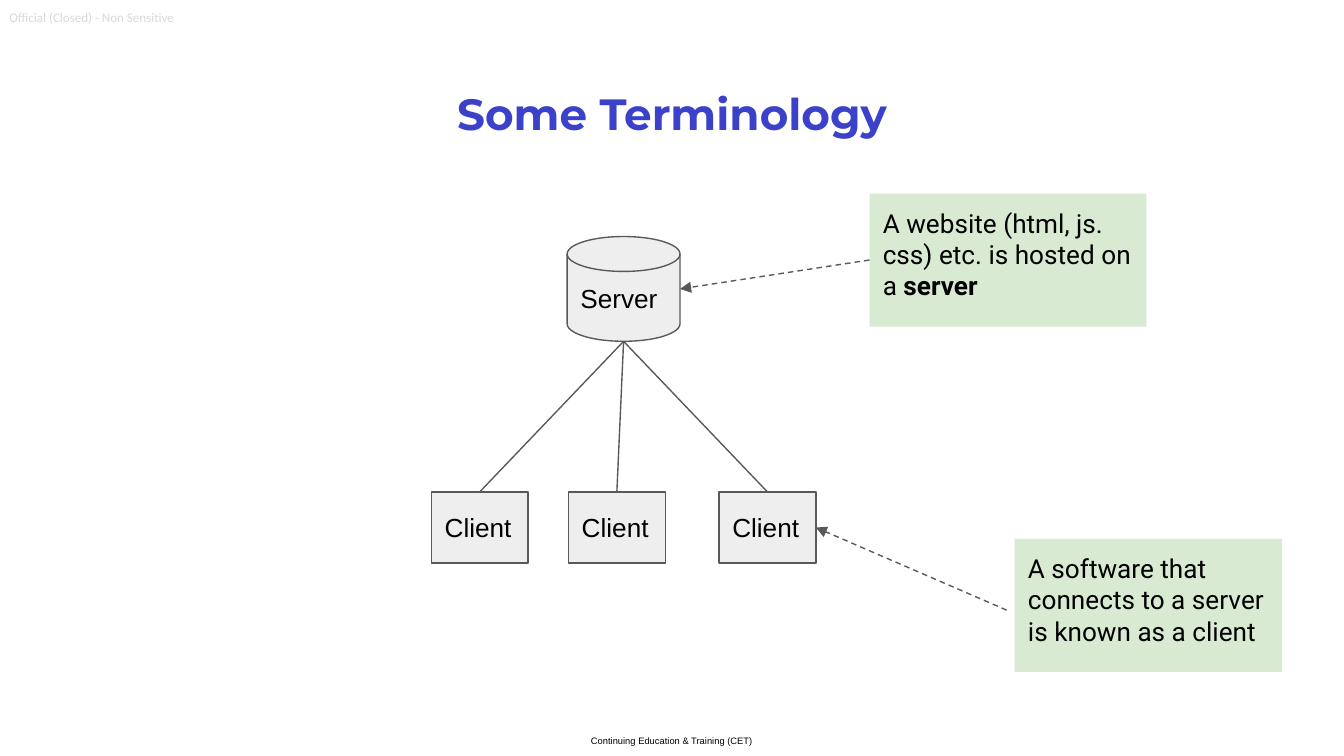
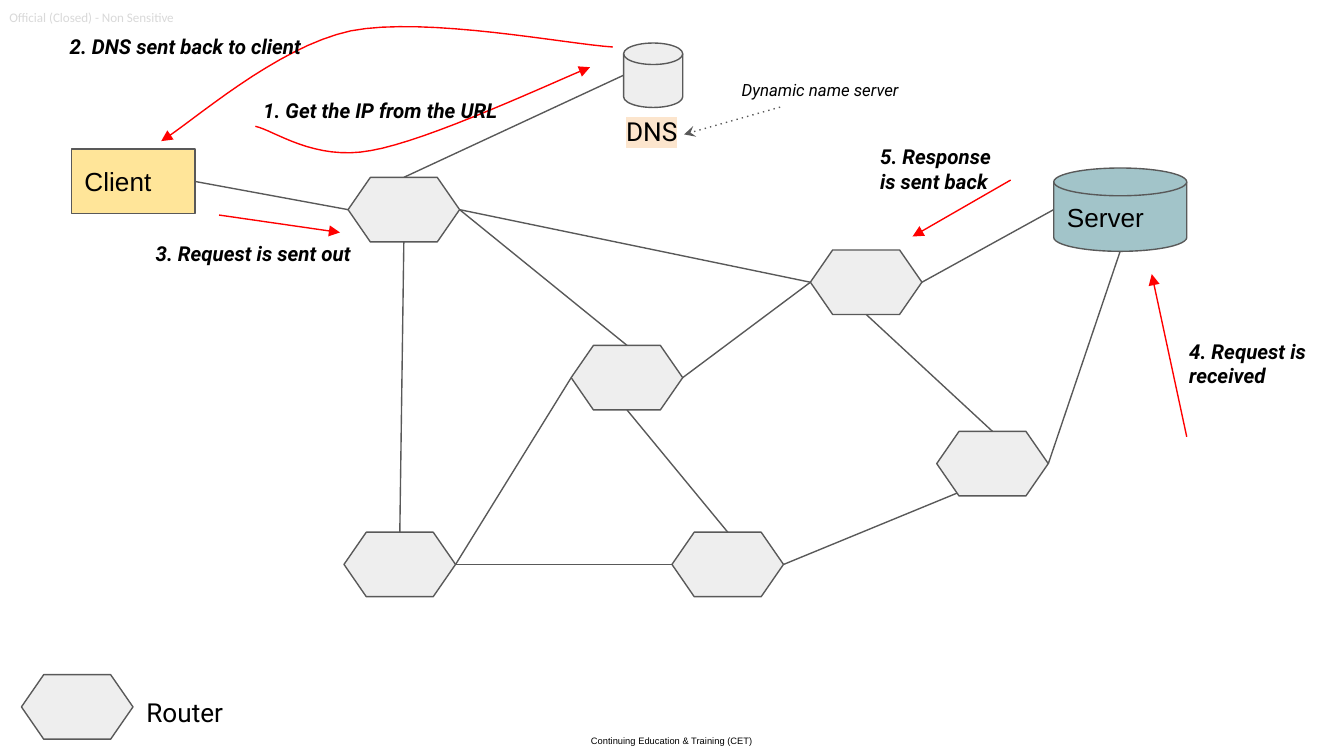
from lxml.etree import SubElement
from pptx import Presentation
from pptx.dml.color import RGBColor
from pptx.enum.shapes import MSO_CONNECTOR, MSO_SHAPE as SHAPE
from pptx.enum.text import MSO_ANCHOR as ANCHOR, MSO_AUTO_SIZE as AUTO, PP_ALIGN as ALIGN
from pptx.oxml.ns import qn
from pptx.util import Inches, Pt

BLACK, LINE, GREY, GREEN, RED = "000000", "595959", "EEEEEE", "D9EAD3", "FF0000"
TITLE_BLUE, MARKING_GREY = "3B41C9", "D9D9D9"
YELLOW, TEAL, PEACH = "FFE599", "A2C4C9", "FCE5CD"
DISK, HEXAGON = SHAPE.FLOWCHART_MAGNETIC_DISK, SHAPE.FLOWCHART_PREPARATION
PROCESS, RECT = SHAPE.FLOWCHART_PROCESS, SHAPE.RECTANGLE

SITES = {"top": (0, 0.5, 0), "left": (1, 0, 0.5), "bottom": (2, 0.5, 1), "right": (3, 1, 0.5)}

TITLE = "Some Terminology"
MARKING = "Official (Closed) - Non Sensitive"
FOOTER = "Continuing Education & Training (CET)"

CLIENT_LEFTS = [3.21, 4.23, 5.35]
CALLOUTS = [
    ((6.47, 1.44, 2.06, 0.99), [("A website (html, js. css) etc. is hosted on a ", False), ("server", True)]),
    ((7.55, 4.01, 1.99, 0.99), [("A software that connects to a server is known as a client", False)]),
]

ROUTER_SIZE = (0.83, 0.48)
ROUTERS = {
    "middle": (4.25, 2.57),
    "south": (5, 3.96),
    "east": (6.97, 3.21),
    "north east": (6.03, 1.86),
    "south west": (2.56, 3.96),
    "entry": (2.59, 1.32),
    "legend": (0.16, 5.02),
}
LINKS = [
    ("client", "right", "entry", "left"),
    ("entry", "bottom", "south west", "top"),
    ("entry", "right", "middle", "top"),
    ("middle", "right", "north east", "left"),
    ("north east", "bottom", "east", "top"),
    ("middle", "bottom", "south", "top"),
    ("east", "right", "server", "bottom"),
    ("south west", "right", "middle", "left"),
    ("south west", "right", "south", "left"),
    ("entry", "right", "north east", "left"),
    ("north east", "right", "server", "left"),
    ("entry", "top", "dns", "left"),
]
STEPS = [
    ("1. Get the IP from the URL", (1.86, 0.63, 2.23, 0.48)),
    ("2. DNS sent back to client", (0.42, 0.15, 2.23, 0.48)),
    ("3. Request is sent out", (1.06, 1.69, 1.72, 0.28)),
    ("4. Request is received", (8.75, 2.42, 1.15, 0.48)),
    ("5. Response is sent back", (6.45, 0.97, 1.15, 0.48)),
]
STEP_ARROWS = [
    ((1.63, 1.6), (2.53, 1.73)),
    ((8.83, 3.25), (8.57, 2.04)),
    ((7.52, 1.34), (6.79, 1.76)),
]
STEP_CURVES = [
    [(1.9, 0.94), (2.04, 0.97), (2.34, 1.2), (2.76, 1.12), (3.18, 1.05), (4.12, 0.61), (4.39, 0.5)],
    [(4.56, 0.35), (4.23, 0.33), (3.17, 0.12), (2.61, 0.23), (2.05, 0.35), (1.43, 0.91), (1.2, 1.05)],
]


def rgb(color):
    return RGBColor.from_string(color)


def inches(values):
    return [Inches(v) for v in values]


def style_font(font, size, name, color=BLACK, bold=False, italic=False):
    font.size, font.name, font.bold, font.italic = Pt(size), name, bold, italic
    font.color.rgb = rgb(color)


def write(s, runs, size, name, color=BLACK, align=ALIGN.LEFT, anchor=ANCHOR.TOP,
          inset=0.1, **emphasis):
    tf = s.text_frame
    tf.word_wrap, tf.auto_size, tf.vertical_anchor = True, AUTO.NONE, anchor
    tf.margin_left = tf.margin_right = tf.margin_top = tf.margin_bottom = Inches(inset)
    p = tf.paragraphs[0]
    p.alignment = align
    style_font(p.font, size, name, color, **emphasis)
    for text, bold in runs:
        r = p.add_run()
        r.text = text
        if bold:
            r.font.bold = True
    return p


def add_label(slide, text, box, size, name="Roboto", **options):
    return write(slide.shapes.add_textbox(*inches(box)), [(text, False)], size, name, **options)


def add_box(slide, kind, box, fill=GREY, text=None, line=LINE):
    s = slide.shapes.add_shape(kind, *inches(box))
    s.shadow.inherit = False
    s.fill.solid()
    s.fill.fore_color.rgb = rgb(fill)
    if line:
        s.line.color.rgb = rgb(line)
        s.line.width = Pt(0.75)
    else:
        s.line.fill.background()
    if text:
        write(s, [(text, False)], 14, "Arial", anchor=ANCHOR.MIDDLE)
    return s


def style_line(s, color, dash=None, head=None, tail=None):
    s.line.color.rgb = rgb(color)
    s.line.width = Pt(0.75)
    ln = s.line._get_or_add_ln()
    if dash:
        SubElement(ln, qn("a:prstDash"), val=dash)
    for tag, kind in (("a:headEnd", head), ("a:tailEnd", tail)):
        if kind:
            SubElement(ln, qn(tag), type=kind)


def site_point(s, side):
    _, fx, fy = SITES[side]
    return round(s.left + fx * s.width), round(s.top + fy * s.height)


def connect(slide, start, end, color=LINE, **options):
    ends = [site_point(*e) if isinstance(e[1], str) else inches(e) for e in (start, end)]
    c = slide.shapes.add_connector(MSO_CONNECTOR.STRAIGHT, *ends[0], *ends[1])
    for e, glue in ((start, c.begin_connect), (end, c.end_connect)):
        if isinstance(e[1], str) and e[0].auto_shape_type != DISK:
            glue(e[0], SITES[e[1]][0])
    style_line(c, color, **options)
    SubElement(c._element.spPr, qn("a:effectLst"))


def bezier(points, steps=16):
    for i in range(0, len(points) - 1, 3):
        a, b, c, d = points[i:i + 4]
        for n in range(1, steps + 1):
            t = n / steps
            u = 1 - t
            yield tuple(u**3 * a[k] + 3 * u * u * t * b[k] + 3 * u * t * t * c[k] + t**3 * d[k]
                        for k in (0, 1))


def add_curve(slide, points):
    builder = slide.shapes.build_freeform(*inches(points[0]))
    builder.add_line_segments([inches(point) for point in bezier(points)], close=False)
    s = builder.convert_to_shape()
    s.shadow.inherit = False
    s.fill.background()
    style_line(s, RED, tail="triangle")


def add_footer(slide):
    add_label(slide, FOOTER, (4.02, 5.42, 1.96, 0.29), 5, "Arial", align=ALIGN.CENTER, inset=0.05)
    add_label(slide, MARKING, (0, 0, 1.62, 0.23), 7, "Calibri", color=MARKING_GREY, inset=0.07)


def build_terminology(prs):
    slide = prs.slides.add_slide(prs.slide_layouts[5])
    title = slide.shapes.title
    title.left, title.top, title.width, title.height = inches((0.34, 0.49, 9.32, 0.63))
    p = write(title, [(TITLE, False)], 23.4, "Montserrat", TITLE_BLUE, ALIGN.CENTER, bold=True)
    p.line_spacing = 1.15

    server = add_box(slide, DISK, (4.22, 1.76, 0.84, 0.78), text="Server")
    clients = [add_box(slide, PROCESS, (x, 3.66, 0.72, 0.53), text="Client") for x in CLIENT_LEFTS]
    for client in clients:
        connect(slide, (client, "top"), (server, "bottom"))
    callouts = []
    for box, runs in CALLOUTS:
        s = add_box(slide, RECT, box, GREEN, line=None)
        write(s, runs, 14, "Roboto")
        callouts.append(s)
    for start, end in [((callouts[0], "left"), (server, "right")),
                       ((7.49, 4.54), (clients[-1], "right"))]:
        connect(slide, start, end, dash="dash", tail="triangle")
    add_footer(slide)


def build_routing(prs):
    slide = prs.slides.add_slide(prs.slide_layouts[6])
    nodes = {
        "client": add_box(slide, RECT, (0.53, 1.11, 0.92, 0.48), YELLOW, "Client"),
        "server": add_box(slide, DISK, (7.84, 1.25, 0.99, 0.62), TEAL, "Server"),
        "dns": add_box(slide, DISK, (4.64, 0.32, 0.44, 0.48)),
    }
    for name, corner in ROUTERS.items():
        nodes[name] = add_box(slide, HEXAGON, corner + ROUTER_SIZE)
    for start, start_side, end, end_side in LINKS:
        connect(slide, (nodes[start], start_side), (nodes[end], end_side))
    connect(slide, (nodes["south"], "right"), (7.12, 3.67))

    add_label(slide, "Router", (0.99, 5.08, 0.91, 0.28), 14)
    dns = add_label(slide, "DNS", (4.56, 0.76, 0.69, 0.35), 14)
    highlight = SubElement(dns.runs[0]._r.get_or_add_rPr(), qn("a:highlight"))
    SubElement(highlight, qn("a:srgbClr"), val=PEACH)
    add_label(slide, "Dynamic name server", (5.42, 0.49, 1.78, 0.28), 9, italic=True)
    connect(slide, (5.09, 1), (5.83, 0.79), dash="dot", head="stealth")

    for points in STEP_CURVES:
        add_curve(slide, points)
    for start, end in STEP_ARROWS:
        connect(slide, start, end, RED, tail="triangle")
    for text, box in STEPS:
        add_label(slide, text, box, 11, bold=True, italic=True)
    add_footer(slide)


def main():
    prs = Presentation()
    prs.slide_width = Inches(10)
    prs.slide_height = prs.slide_width * 9 // 16
    build_terminology(prs)
    build_routing(prs)
    prs.save("out.pptx")


if __name__ == "__main__":
    main()
